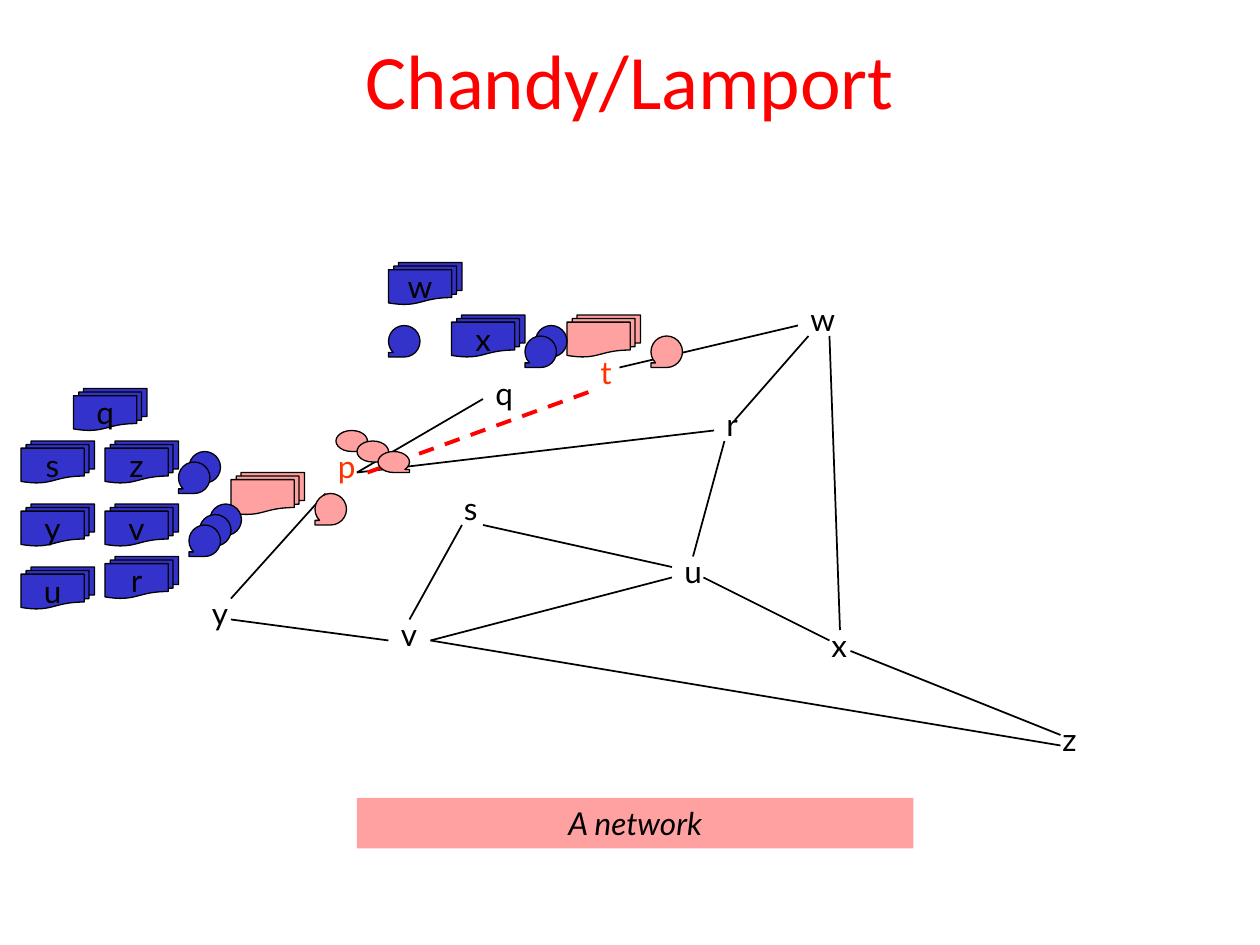
from dataclasses import dataclass

from lxml import etree
from pptx import Presentation
from pptx.dml.color import RGBColor
from pptx.enum.dml import MSO_LINE
from pptx.enum.shapes import MSO_CONNECTOR, MSO_SHAPE
from pptx.enum.text import MSO_ANCHOR, MSO_AUTO_SIZE, PP_ALIGN
from pptx.oxml.ns import qn
from pptx.util import Cm, Pt

DASH = MSO_LINE.DASH
LINE = MSO_CONNECTOR.STRAIGHT
RECT = MSO_SHAPE.RECTANGLE
DOC = MSO_SHAPE.FLOWCHART_MULTIDOCUMENT
TAPE = MSO_SHAPE.FLOWCHART_SEQUENTIAL_ACCESS_STORAGE
TOP, MIDDLE = MSO_ANCHOR.TOP, MSO_ANCHOR.MIDDLE
GROW, FIXED = MSO_AUTO_SIZE.SHAPE_TO_FIT_TEXT, MSO_AUTO_SIZE.NONE
LEFT, CENTER = PP_ALIGN.LEFT, PP_ALIGN.CENTER


@dataclass(frozen=True)
class Theme:
    """Colours, fonts, type sizes and line widths."""
    ink: str = "000000"
    red: str = "FF0000"
    mark: str = "FF3300"
    pink: str = "FFA1A1"
    blue: str = "3333CC"
    head: str = "Calibri"
    body: str = "Lato"
    large: float = 44
    small: float = 18
    thin: float = 0.75
    edge: float = 1
    bold: float = 2.25


THEME = Theme()

NODES = {
    "p": (12, 14), "q": (27, 7), "r": (49, 10), "s": (24, 18),
    "t": (37, 5), "u": (45, 24), "v": (18, 30), "w": (57, 0),
    "x": (59, 31), "y": (0, 28), "z": (81, 40),
}
EDGES = [
    (12, 19, 3, 29), (3, 31, 18, 33), (25, 22, 20, 31), (15, 17, 49, 13),
    (15, 17, 27, 10), (51, 12, 58, 4), (50, 14, 47, 25), (22, 33, 82, 43),
    (22, 33, 45, 27), (40, 7, 57, 3), (60, 4, 61, 32), (48, 27, 60, 33),
    (27, 22, 45, 26), (62, 34, 82, 42),
]
BROKEN = (16, 17, 38, 9)


def grid(n):
    """Turn grid steps of a twelfth of an inch into a length."""
    return Cm(n * 2.54 / 12)


def tint(code):
    """Turn a hex code into a colour."""
    return RGBColor.from_string(code)


def write(shape, text, font=THEME.body, size=THEME.small, color=THEME.ink,
          italic=False, align=LEFT, anchor=TOP, fit=FIXED, wrap=True):
    """Put formatted text into a shape."""
    frame = shape.text_frame
    frame.word_wrap, frame.auto_size = wrap, fit
    frame.vertical_anchor = anchor
    para = frame.paragraphs[0]
    para.alignment = align
    run = para.add_run()
    run.text = text
    run.font.name, run.font.size = font, Pt(size)
    run.font.color.rgb = tint(color)
    run.font.italic = italic


def draw(slide, kind, box, fill, flip=False, line=True):
    """Add a filled preset shape on the grid."""
    shape = slide.shapes.add_shape(kind, *map(grid, box))
    shape.shadow.inherit = False
    shape.fill.solid()
    shape.fill.fore_color.rgb = tint(fill)
    if line:
        shape.line.color.rgb = tint(THEME.ink)
        shape.line.width = Pt(THEME.thin)
    else:
        shape.line.fill.background()
    if flip:
        shape.element.spPr.xfrm.set("flipH", "1")
    return shape


def link(slide, x, y, ends, color=THEME.ink, width=THEME.edge, dash=None):
    """Join two points given relative to a corner."""
    x1, y1, x2, y2 = ends
    wire = slide.shapes.add_connector(
        LINE, *map(grid, (x + x1, y + y1, x + x2, y + y2)))
    wire.line.color.rgb = tint(color)
    wire.line.width = Pt(width)
    if dash:
        wire.line.dash_style = dash
    etree.SubElement(wire.element.spPr, qn("a:effectLst"))


def title(slide, box, text):
    """Place the slide title."""
    shape = slide.shapes.title
    shape.left, shape.top, shape.width, shape.height = map(grid, box)
    write(shape, text, font=THEME.head, size=THEME.large, color=THEME.red,
          align=CENTER, anchor=MIDDLE)


def graph(slide, x, y):
    """Draw the network of named nodes and its edges."""
    for name, (dx, dy) in NODES.items():
        label = slide.shapes.add_textbox(
            *map(grid, (x + dx, y + dy, 5, 4.8)))
        color = THEME.mark if name in "pt" else THEME.ink
        write(label, name, color=color, fit=GROW)
    for ends in EDGES:
        link(slide, x, y, ends)
    link(slide, x, y, BROKEN, color=THEME.red, width=THEME.bold, dash=DASH)


def state(slide, x, y, docs, tapes, own, mine, flat=()):
    """Draw the stacks and message tapes held at one node."""
    draw(slide, DOC, (x + own[0], y + own[1], 7, 4), THEME.pink)
    for dx, dy in flat:
        draw(slide, TAPE, (x + dx, y + dy, 3, 2), THEME.pink)
    draw(slide, TAPE, (x + mine[0], y + mine[1], 3, 3), THEME.pink, flip=True)
    for dx, dy in tapes:
        draw(slide, TAPE, (x + dx, y + dy, 3, 3), THEME.blue, flip=True)
    for name, (dx, dy) in docs.items():
        doc = draw(slide, DOC, (x + dx, y + dy, 7, 4), THEME.blue)
        write(doc, name, align=CENTER, anchor=MIDDLE, wrap=False)


def note(slide, box, text):
    """Place the caption band."""
    band = draw(slide, RECT, box, THEME.pink, line=False)
    write(band, text, italic=True, align=CENTER, fit=GROW)


def main():
    """Build the slide and save it."""
    deck = Presentation()
    deck.slide_width, deck.slide_height = grid(120), grid(90)
    slide = deck.slides.add_slide(deck.slide_layouts[5])
    title(slide, (0, 0, 120, 14.9), "Chandy/Lamport")
    graph(slide, 19, 28)
    note(slide, (34, 76, 53, 4.8), "A network")
    state(slide, 2, 37,
          docs={"q": (5, 0), "s": (0, 5), "z": (8, 5), "y": (0, 11),
                "v": (8, 11), "u": (0, 17), "r": (8, 16)},
          tapes=[(18, 11), (17, 12), (16, 13), (16, 6), (15, 7)],
          own=(20, 8), mine=(28, 10), flat=[(30, 4), (32, 5), (34, 6)])
    state(slide, 37, 25,
          docs={"w": (0, 0), "x": (6, 5)},
          tapes=[(0, 6), (14, 6), (13, 7)],
          own=(17, 5), mine=(25, 7))
    deck.save("out.pptx")


if __name__ == "__main__":
    main()
